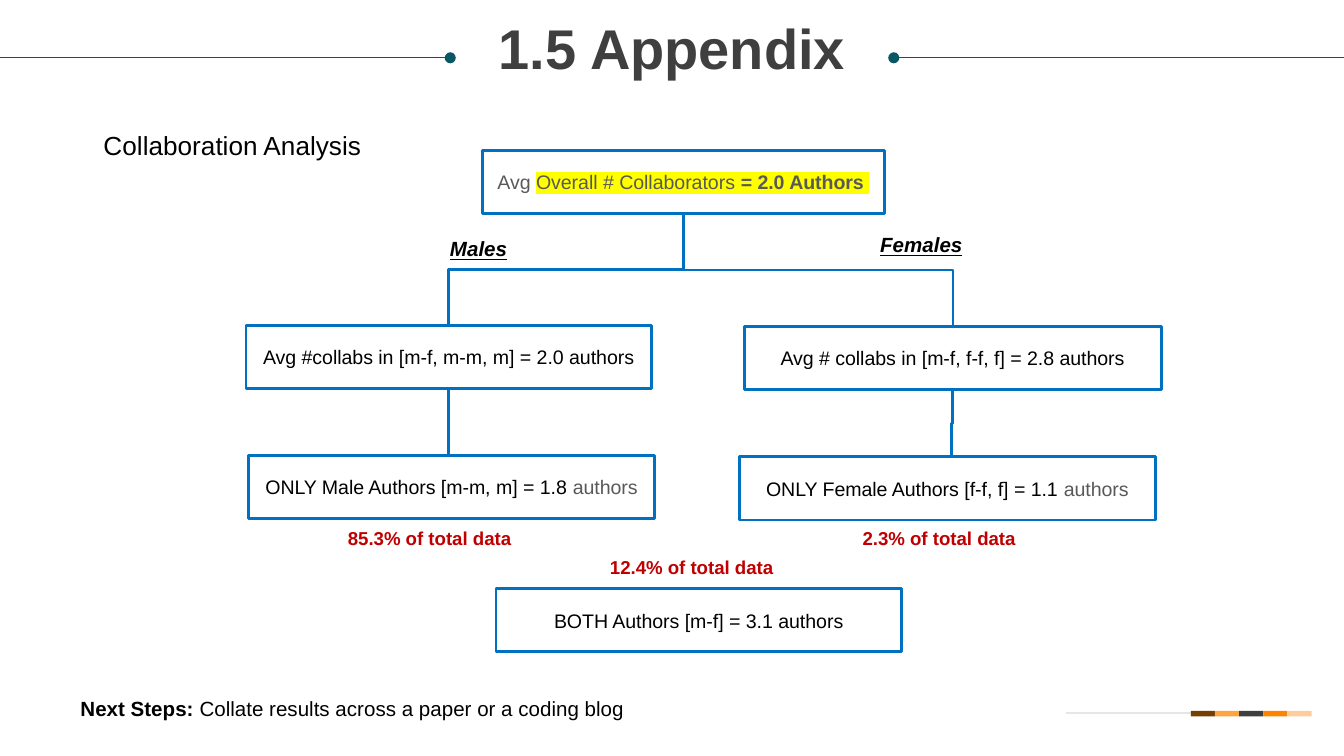
import pptx
import pptx.util
import pptx.dml.color
import pptx.enum.shapes
import pptx.enum.text
import pptx.oxml.ns
from dataclasses import dataclass
from lxml import etree

COLOURS = {
    "heading": "3F3F3F", "rule": "085763", "node": "0070C0", "text": "000000",
    "muted": "595959", "highlight": "FFFF00", "share": "C00000", "pale": "E6E6E6",
}
ACCENTS = ["763E00", "FEA440", "3F3F3F", "FE8301", "FECD98"]
FONT = "Arial"
COLUMNS, ROWS = 100, 56.25
SLIDE_WIDTH = pptx.util.Inches(10)
SLIDE_HEIGHT = int(SLIDE_WIDTH * ROWS / COLUMNS)

SHAPES = pptx.enum.shapes.MSO_SHAPE
CONNECTORS = pptx.enum.shapes.MSO_CONNECTOR
ANCHOR = pptx.enum.text.MSO_ANCHOR
ALIGN = pptx.enum.text.PP_ALIGN
qn = pptx.oxml.ns.qn
BOTTOM, TOP = 2, 0

PLAIN = {"size": 10.5, "colour": "text"}
MUTED = {"size": 10.5, "colour": "muted"}
BRANCH = {"size": 11, "colour": "text", "bold": True, "italic": True, "underline": True}
SHARE = {"size": 10, "colour": "share", "bold": True}


@dataclass
class Region:
    """Box on the slide grid; its parts are given in columns and rows from its corner."""
    left: float
    top: float
    width: float
    height: float

    def point(self, column, row):
        return (int(SLIDE_WIDTH * (self.left + column) / COLUMNS),
                int(SLIDE_HEIGHT * (self.top + row) / ROWS))

    def place(self, column, row, width, height):
        return (*self.point(column, row),
                int(SLIDE_WIDTH * width / COLUMNS), int(SLIDE_HEIGHT * height / ROWS))


def rgb(name):
    return pptx.dml.color.RGBColor.from_string(COLOURS.get(name, name))


def write(shape, runs, inset=(0.1, 0.05), align=ALIGN.LEFT, anchor=ANCHOR.TOP, spacing=None):
    """Fill the shape with one paragraph of (text, format) runs."""
    frame = shape.text_frame
    frame.auto_size = pptx.enum.text.MSO_AUTO_SIZE.NONE
    side, edge = (pptx.util.Inches(length) for length in inset)
    settings = {"margin_left": side, "margin_right": side, "margin_top": edge,
                "margin_bottom": edge, "word_wrap": True, "vertical_anchor": anchor}
    for name, value in settings.items():
        setattr(frame, name, value)
    paragraph = frame.paragraphs[0]
    paragraph.alignment = align
    if spacing:
        paragraph.line_spacing = spacing
    for text, style in runs:
        run = paragraph.add_run()
        run.text = text
        run.font.name = FONT
        run.font.size = pptx.util.Pt(style["size"])
        run.font.color.rgb = rgb(style["colour"])
        for name in ("bold", "italic", "underline"):
            setattr(run.font, name, style.get(name, False))
        if "highlight" in style:
            marker = etree.Element(qn("a:highlight"))
            etree.SubElement(marker, qn("a:srgbClr"), val=COLOURS[style["highlight"]])
            run.font.fill._xPr.find(qn("a:solidFill")).addnext(marker)


def add_label(slide, box, runs, **layout):
    write(slide.shapes.add_textbox(*box), runs, **layout)


def add_line(slide, start, end, colour, weight=0.75, kind=CONNECTORS.STRAIGHT, dot=None):
    """dot names the line end that carries a dot: headEnd or tailEnd."""
    line = slide.shapes.add_connector(kind, *start, *end)
    line.line.color.rgb = rgb(colour)
    line.line.width = pptx.util.Pt(weight)
    if dot:
        etree.SubElement(line.line._get_or_add_ln(), qn(f"a:{dot}"), type="oval")
    etree.SubElement(line._element.spPr, qn("a:effectLst"))
    return line


def add_branch(slide, start, end, child=None, parent=None):
    """Draw an elbow up from start to end that leaves and arrives vertically."""
    elbow = add_line(slide, start, end, "node", 1.5, CONNECTORS.ELBOW)
    if child is not None:
        elbow.begin_connect(child, TOP)
    if parent is not None:
        elbow.end_connect(parent, BOTTOM)
    across, rise = abs(end[0] - start[0]), abs(end[1] - start[1])
    frame = {"left": (start[0] + end[0] - rise) // 2, "top": (start[1] + end[1] - across) // 2,
             "width": rise, "height": across}
    for name, value in frame.items():
        setattr(elbow, name, value)
    xfrm = elbow._element.spPr.find(qn("a:xfrm"))
    for flip in ("flipH", "flipV"):
        xfrm.attrib.pop(flip, None)
    xfrm.set("rot", str(270 * 60000))
    if end[0] < start[0]:
        xfrm.set("flipV", "1")


def add_header(slide, region):
    middle, rule = 4.3, 33.5
    add_line(slide, region.point(0, middle), region.point(rule, middle), "rule", dot="tailEnd")
    add_line(slide, region.point(region.width - rule, middle),
             region.point(region.width, middle), "rule", dot="headEnd")
    add_label(slide, region.place(1.9, 1.6, region.width - 3.8, 6.4),
              [("1.5 Appendix", {"size": 30, "colour": "heading", "bold": True})],
              inset=(0, 0), align=ALIGN.CENTER, spacing=0.9)


def add_title(slide, region):
    title = slide.shapes.title
    box = region.place(0, 0, region.width, region.height)
    for name, value in zip(("left", "top", "width", "height"), box):
        setattr(title, name, value)
    write(title, [("Collaboration Analysis", {"size": 14, "colour": "text"})], inset=(0.1, 0.1))


def add_node(slide, box, runs):
    node = slide.shapes.add_shape(SHAPES.RECTANGLE, *box)
    node.shadow.inherit = False
    node.fill.background()
    node.line.color.rgb = rgb("node")
    node.line.width = pptx.util.Pt(1.5)
    write(node, runs, inset=(0.1, 0.1), align=ALIGN.CENTER, anchor=ANCHOR.MIDDLE)
    return node


def add_tree(slide, region):
    marked = {**MUTED, "highlight": "highlight"}
    node_rows = {
        "overall": (17.6, 0, 29.9, [("Avg ", MUTED), ("Overall # Collaborators ", marked),
                                    ("= 2.0 Authors ", {**marked, "bold": True})]),
        "male": (0, 13, 30.2, [("Avg #collabs in [m-f, m-m, m] = 2.0 authors", PLAIN)]),
        "female": (37.1, 13.1, 31, [("Avg # collabs in [m-f, f-f, f] = 2.8 authors", PLAIN)]),
        "only male": (0.2, 22.7, 30.2, [("ONLY Male Authors [m-m, m] = 1.8 ", PLAIN),
                                        ("authors", MUTED)]),
        "only female": (36.7, 22.8, 31, [("ONLY Female Authors [f-f, f] = 1.1 ", PLAIN),
                                         ("authors", MUTED)]),
        "both": (18.6, 32.6, 30.2, [("BOTH Authors [m-f] = 3.1 authors", PLAIN)]),
    }
    nodes = {name: add_node(slide, region.place(column, row, width, 4.7), runs)
             for name, (column, row, width, runs) in node_rows.items()}

    def bottom(node):
        return node.left + node.width // 2, node.top + node.height

    for name in ("male", "female"):
        child, parent = nodes[name], nodes["overall"]
        add_branch(slide, (child.left + child.width // 2, child.top), bottom(parent), child, parent)
    for name, start in (("male", (15.1, 22.7)), ("female", (52.5, 22.8))):
        add_branch(slide, region.point(*start), bottom(nodes[name]), parent=nodes[name])

    for text, style, box in (
        ("Males", BRANCH, (14.2, 5.9, 11, 2.9)),
        ("Females", BRANCH, (46.2, 5.6, 11.5, 2.9)),
        ("85.3% of total data", SHARE, (6.6, 27.5, 15.3, 2.7)),
        ("2.3% of total data", SHARE, (44.9, 27.5, 15.3, 2.7)),
        ("12.4% of total data", SHARE, (26.1, 29.7, 15.3, 2.7)),
    ):
        add_label(slide, region.place(*box), [(text, style)])


def add_next_steps(slide, region):
    style = {"size": 11, "colour": "text"}
    add_label(slide, region.place(0, 0, region.width, region.height),
              [("Next Steps: ", {**style, "bold": True}),
               ("Collate results across a paper or a coding blog", style)])


def add_accent_bar(slide, region):
    step = 1.8
    first = region.width - step * len(ACCENTS)
    add_line(slide, region.point(first, 0.15), region.point(0, 0.15), "pale")
    for index, colour in enumerate(ACCENTS):
        block = slide.shapes.add_shape(
            SHAPES.RECTANGLE, *region.place(first + index * step, 0, step, region.height))
        block.shadow.inherit = False
        block.fill.solid()
        block.fill.fore_color.rgb = rgb(colour)
        block.line.fill.background()


def main():
    deck = pptx.Presentation()
    deck.slide_width, deck.slide_height = SLIDE_WIDTH, SLIDE_HEIGHT
    slide = deck.slides.add_slide(deck.slide_layouts.get_by_name("Title Only"))
    add_accent_bar(slide, Region(79.3, 52.9, 18.3, 0.4))
    add_title(slide, Region(6.7, 8.6, 84.1, 5.9))
    add_tree(slide, Region(18.3, 11.2, 68.1, 37.3))
    add_next_steps(slide, Region(5, 51.3, 45.9, 2.9))
    add_header(slide, Region(0, 0, COLUMNS, 8))
    deck.save("out.pptx")


if __name__ == "__main__":
    main()
